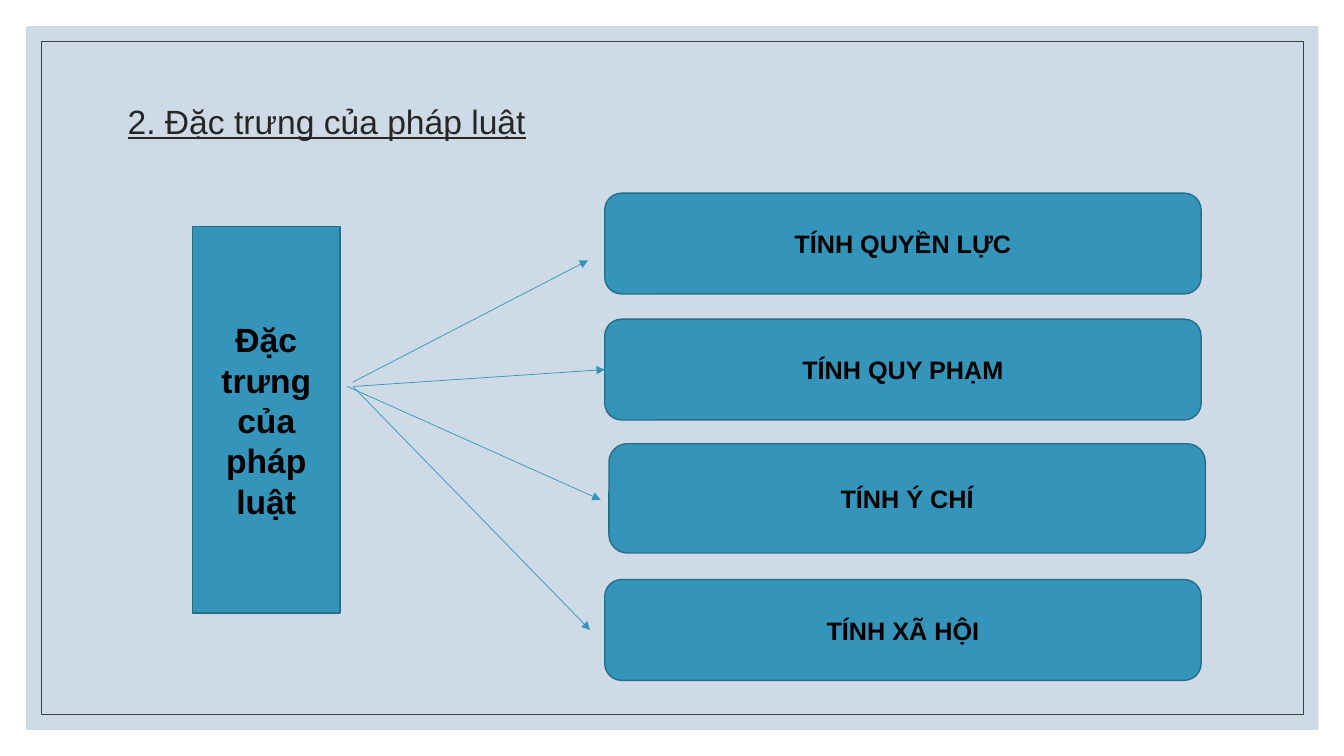
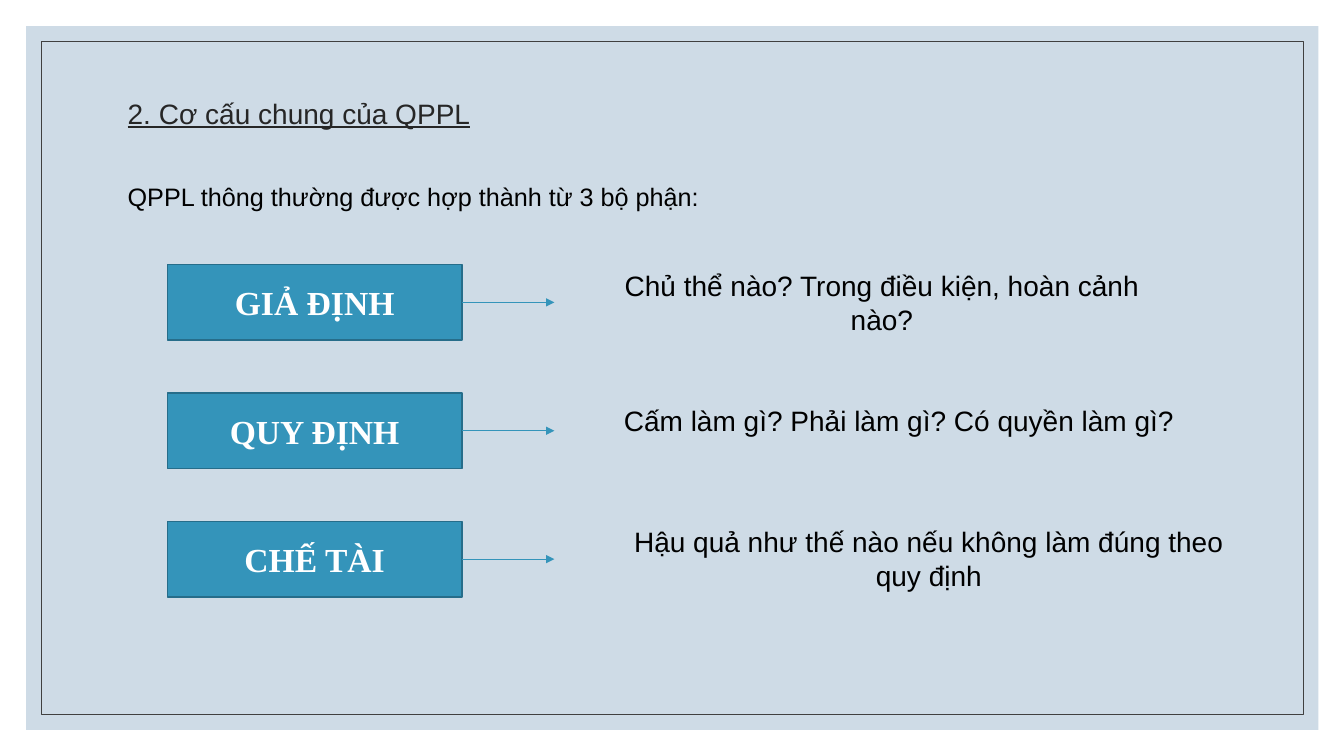
"""Builds two slides on the features of law and the structure of a legal norm."""
from lxml.etree import SubElement
from pptx import Presentation
from pptx.dml.color import RGBColor
from pptx.enum.shapes import MSO_CONNECTOR, MSO_SHAPE
from pptx.enum.text import MSO_ANCHOR, MSO_AUTO_SIZE, PP_ALIGN
from pptx.oxml.ns import qn
from pptx.util import Pt

PANEL, TEAL, TEAL_DARK = "CEDBE6", "3494BA", "266D8A"
BLACK, WHITE, TITLE_GREY, FRAME_GREY = "000000", "FFFFFF", "262626", "404040"
TITLE_LEFT, TITLE_TOP, TITLE_WIDTH = 84, 50.4, 792
RIGHT, LEFT = 3, 1

FEATURES_TITLE = "2. Đặc trưng của pháp luật"
SUBJECT = ("Đặc trưng của pháp luật", (137.5, 162, 105.3, 276))
FEATURES = [
    {"text": "TÍNH QUYỀN LỰC", "place": (432, 138, 426, 72),
     "start": (252, 273), "end": (420, 186)},
    {"text": "TÍNH QUY PHẠM", "place": (432, 228, 426, 72),
     "start": (253, 276), "end": None},
    {"text": "TÍNH Ý CHÍ", "place": (435, 317, 426, 78),
     "start": (248, 276), "end": (429, 357)},
    {"text": "TÍNH XÃ HỘI", "place": (432, 414, 426, 72),
     "start": (252, 276), "end": (421.5, 450)},
]

PARTS_TITLE = "2. Cơ cấu chung của QPPL"
PARTS_INTRO = "QPPL thông thường được hợp thành từ 3 bộ phận:"
PARTS = [
    ("GIẢ ĐỊNH", "Chủ thể nào? Trong điều kiện, hoàn cảnh nào?", (414, 189, 432, 54)),
    ("QUY ĐỊNH", "Cấm làm gì? Phải làm gì? Có quyền làm gì? ", (414, 270, 462, 61)),
    ("CHẾ TÀI", "Hậu quả như thế nào nếu không làm đúng theo quy định",
     (438.5, 366, 450, 66)),
]
PART_LEFT, PART_TOP, PART_WIDTH, PART_HEIGHT, PART_STEP = 119.5, 189, 210.5, 54, 91.7
ARROW_END = 396


def color(hex_text):
    return RGBColor.from_string(hex_text)


def points(values):
    return [Pt(value) for value in values]


def write(frame, text, size, ink=BLACK, font="Arial", bold=False, underline=False,
          align=PP_ALIGN.CENTER, anchor=MSO_ANCHOR.MIDDLE):
    frame.word_wrap = True
    frame.auto_size = MSO_AUTO_SIZE.NONE
    frame.vertical_anchor = anchor
    para = frame.paragraphs[0]
    para.alignment = align
    span = para.add_run()
    span.text = text
    span.font.name, span.font.size = font, Pt(size)
    span.font.bold, span.font.underline = bold, underline
    span.font.color.rgb = color(ink)
    return para


def add_box(page, place, fill=None, line=None, width=1, kind=MSO_SHAPE.RECTANGLE):
    box = page.shapes.add_shape(kind, *points(place))
    box.shadow.inherit = False
    if fill:
        box.fill.solid()
        box.fill.fore_color.rgb = color(fill)
    else:
        box.fill.background()
    if line:
        box.line.color.rgb = color(line)
        box.line.width = Pt(width)
    else:
        box.line.fill.background()
    return box


def add_arrow(page, start, end, source=None, target=None):
    arrow = page.shapes.add_connector(MSO_CONNECTOR.STRAIGHT, *points(start + end))
    if source:
        arrow.begin_connect(source, RIGHT)
    if target:
        arrow.end_connect(target, LEFT)
    arrow.line.color.rgb = color(TEAL)
    arrow.line.width = Pt(0.5)
    SubElement(arrow.line._get_or_add_ln(), qn("a:tailEnd"), type="triangle")
    SubElement(arrow.element.spPr, qn("a:effectLst"))


def place_holder(holder, place):
    holder.left, holder.top, holder.width, holder.height = points(place)


def add_page(deck, layout, title, size, height):
    page = deck.slides.add_slide(deck.slide_layouts[layout])
    place_holder(page.shapes.title, (TITLE_LEFT, TITLE_TOP, TITLE_WIDTH, height))
    para = write(page.shapes.title.text_frame, title, size, TITLE_GREY,
                 underline=True, align=PP_ALIGN.LEFT)
    para.line_spacing = 0.9
    return page


def move_to_master(deck, boxes):
    tree = deck.slide_master.shapes.element
    for index, box in enumerate(boxes):
        box.element.xpath("./p:nvSpPr/p:cNvPr")[0].set("id", str(100 + index))
        tree.insert(2 + index, box.element)


def build_features(deck):
    page = add_page(deck, 5, FEATURES_TITLE, 24, 75.6)
    move_to_master(deck, [
        add_box(page, (18.7, 18.7, 923, 502.6), fill=PANEL),
        add_box(page, (29.5, 29.5, 901.5, 481), line=FRAME_GREY, width=0.5),
    ])
    text, place = SUBJECT
    subject = add_box(page, place, TEAL, TEAL_DARK)
    write(subject.text_frame, text, 24, bold=True)
    for feature in FEATURES:
        left, top, width, height = feature["place"]
        box = add_box(page, feature["place"], TEAL, TEAL_DARK,
                      kind=MSO_SHAPE.ROUNDED_RECTANGLE)
        write(box.text_frame, feature["text"], 18, bold=True)
        end = feature["end"]
        add_arrow(page, feature["start"], end or (left, top + height / 2),
                  target=None if end else box)


def build_parts(deck):
    page = add_page(deck, 1, PARTS_TITLE, 20, 63.4)
    body = page.placeholders[1]
    place_holder(body, (TITLE_LEFT, 126, TITLE_WIDTH, 349))
    para = write(body.text_frame, PARTS_INTRO, 18, align=PP_ALIGN.LEFT,
                 anchor=MSO_ANCHOR.TOP)
    para.space_before = Pt(9)
    properties = para._p.get_or_add_pPr()
    properties.set("marL", "0")
    properties.set("indent", "0")
    SubElement(properties, qn("a:buNone"))
    for index, (name, question, place) in enumerate(PARTS):
        top = PART_TOP + index * PART_STEP
        middle = top + PART_HEIGHT / 2
        part = add_box(page, (PART_LEFT, top, PART_WIDTH, PART_HEIGHT), TEAL, TEAL_DARK)
        write(part.text_frame, name, 24, WHITE, "Times New Roman", bold=True)
        answer = add_box(page, place, PANEL, PANEL, kind=MSO_SHAPE.ROUNDED_RECTANGLE)
        write(answer.text_frame, question, 20)
        add_arrow(page, (PART_LEFT + PART_WIDTH, middle), (ARROW_END, middle), source=part)


def main():
    deck = Presentation()
    deck.slide_width, deck.slide_height = Pt(960), Pt(540)
    build_features(deck)
    build_parts(deck)
    deck.save("out.pptx")


if __name__ == "__main__":
    main()
